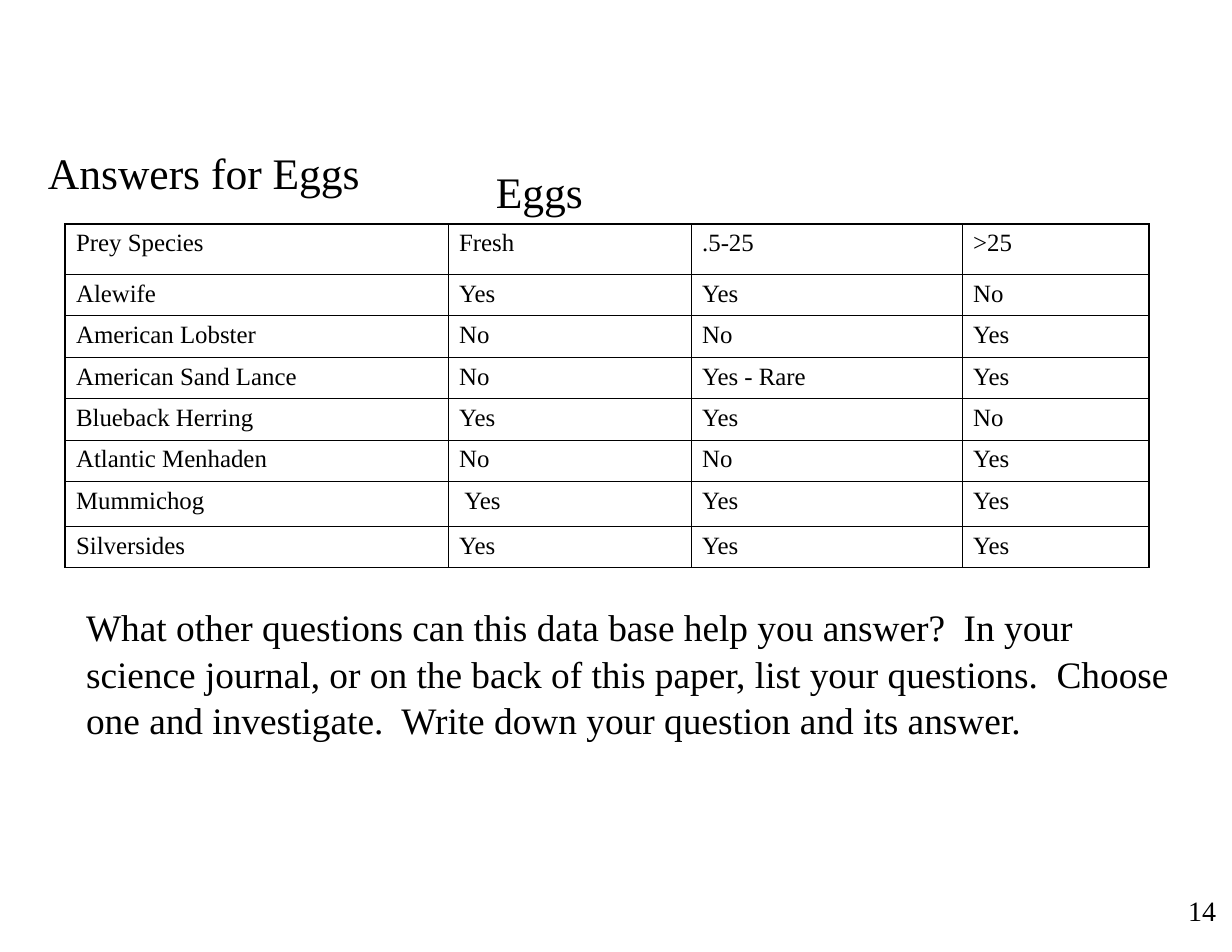
import pptx
import pptx.dml.color
import pptx.enum.text
import pptx.oxml
import pptx.oxml.ns
import pptx.util

SLIDE_WIDTH, SLIDE_HEIGHT = 11, 8.5
FONT = "Times New Roman"
INK = "000000"
OUTER_RULE, INNER_RULE = 1.08, 0.45  # points

COLUMN_WIDTHS = [3.42, 2.17, 2.42, 1.67]
HEADER_HEIGHT, ROW_HEIGHT = 0.45, 0.37
TALL_ROWS = {"Mummichog": 0.4}
EGG_ANSWERS = [
    ["Prey Species", "Fresh", ".5-25", ">25"],
    ["Alewife", "Yes", "Yes", "No"],
    ["American Lobster", "No", "No", "Yes"],
    ["American Sand Lance", "No", "Yes - Rare", "Yes"],
    ["Blueback Herring", "Yes", "Yes", "No"],
    ["Atlantic Menhaden", "No", "No", "Yes"],
    ["Mummichog", " Yes", "Yes", "Yes"],
    ["Silversides", "Yes", "Yes", "Yes"],
]
QUESTION = (
    "What other questions can this data base help you answer?  In your "
    "science journal, or on the back of this paper, list your questions.  "
    "Choose one and investigate.  Write down your question and its answer."
)


def colour(hex_value):
    return pptx.dml.color.RGBColor.from_string(hex_value)


def write(frame, text, size=16, ink=INK, line_spacing=None, wrap=True):
    """Fill a text frame with one formatted paragraph."""
    frame.word_wrap = wrap
    frame.margin_left = frame.margin_right = pptx.util.Inches(0.1)
    frame.margin_top = frame.margin_bottom = pptx.util.Inches(0.05)
    paragraph = frame.paragraphs[0]
    if line_spacing:
        paragraph.line_spacing = line_spacing
    run = paragraph.add_run()
    run.text = text
    run.font.name = FONT
    run.font.size = pptx.util.Pt(size)
    run.font.color.rgb = colour(ink)


def add_label(slide, text, left, top, width, height, **text_format):
    box = slide.shapes.add_textbox(*map(pptx.util.Inches, (left, top, width, height)))
    write(box.text_frame, text, **text_format)
    box.text_frame.auto_size = pptx.enum.text.MSO_AUTO_SIZE.SHAPE_TO_FIT_TEXT


def rule_cell(cell, widths):
    """Draw the left, right, top and bottom rules of a cell."""
    properties = cell._tc.get_or_add_tcPr()
    for position, (side, width) in enumerate(zip("LRTB", widths)):
        rule = pptx.oxml.parse_xml(
            f'<a:ln{side} {pptx.oxml.ns.nsdecls("a")} w="{pptx.util.Pt(width)}">'
            f'<a:solidFill><a:srgbClr val="{INK}"/></a:solidFill></a:ln{side}>'
        )
        properties.insert(position, rule)


def add_answer_table(slide, left, top):
    heights = [HEADER_HEIGHT] + [
        TALL_ROWS.get(row[0], ROW_HEIGHT) for row in EGG_ANSWERS[1:]
    ]
    bounds = (left, top, sum(COLUMN_WIDTHS), sum(heights))
    last_row, last_column = len(heights) - 1, len(COLUMN_WIDTHS) - 1
    table = slide.shapes.add_table(
        last_row + 1, last_column + 1, *map(pptx.util.Inches, bounds)
    ).table
    table.first_row = table.horz_banding = False
    for column, width in zip(table.columns, COLUMN_WIDTHS):
        column.width = pptx.util.Inches(width)
    for r, (species, height) in enumerate(zip(EGG_ANSWERS, heights)):
        table.rows[r].height = pptx.util.Inches(height)
        for c, answer in enumerate(species):
            cell = table.cell(r, c)
            cell.margin_left = cell.margin_right = pptx.util.Inches(0.1)
            cell.margin_top = cell.margin_bottom = pptx.util.Inches(0.05)
            write(cell.text_frame, answer)
            cell.fill.background()
            on_edge = (c == 0, c == last_column, r == 0, r == last_row)
            rule_cell(cell, [OUTER_RULE if edge else INNER_RULE for edge in on_edge])


def main():
    deck = pptx.Presentation()
    deck.slide_width = pptx.util.Inches(SLIDE_WIDTH)
    deck.slide_height = pptx.util.Inches(SLIDE_HEIGHT)
    slide = deck.slides.add_slide(deck.slide_layouts[6])

    # Closing question and table of answers
    add_label(slide, QUESTION, 0.67, 5.33, 10, 1.3, size=24, line_spacing=1.04)
    add_answer_table(slide, 0.58, 2)

    # Headings and page number
    add_label(slide, "Eggs", 4.33, 1.42, 2, 0.57, size=28)
    add_label(slide, "14", 10.51, 7.93, 0.45, 0.4, size=18, wrap=False)
    add_label(slide, "Answers for Eggs", 0.33, 1.25, 6.42, 0.57, size=28)

    deck.save("out.pptx")


if __name__ == "__main__":
    main()
